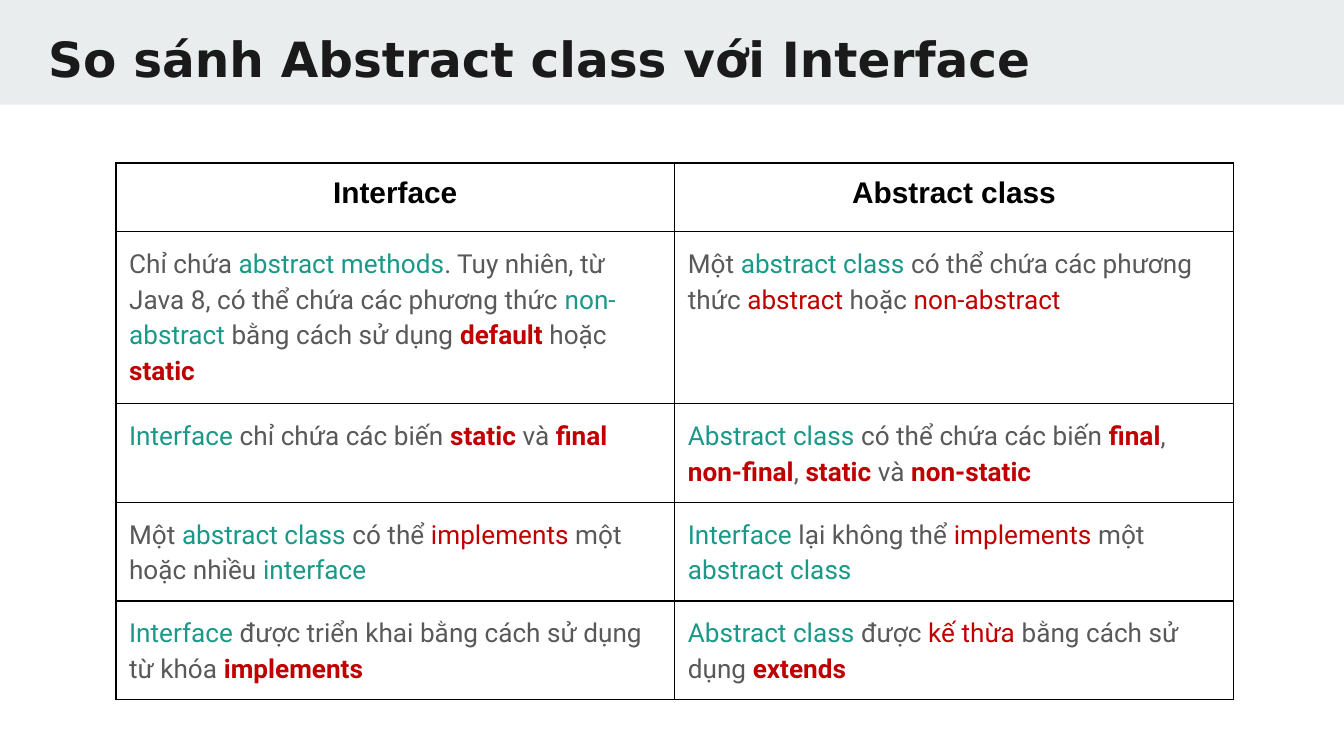
from typing import NamedTuple

from lxml.etree import SubElement
from pptx import Presentation
from pptx.dml.color import RGBColor
from pptx.enum.shapes import MSO_SHAPE
from pptx.enum.text import PP_ALIGN
from pptx.oxml.ns import qn
from pptx.util import Cm, Pt

BLACK = RGBColor(0x00, 0x00, 0x00)
INK = RGBColor(0x1A, 0x1A, 0x1A)
GREY = RGBColor(0x59, 0x59, 0x59)
TEAL = RGBColor(0x1A, 0x99, 0x88)
RED = RGBColor(0xC0, 0x00, 0x00)
BAND = RGBColor(0xE9, 0xED, 0xEE)

PAD = Cm(0.25)
THIN, THICK = Pt(0.5), Pt(1)
HEIGHTS = [1.3, 3.25, 1.85, 1.85, 1.85]
HEADS = ["Interface", "Abstract class"]


class Part(NamedTuple):
    text: str
    color: RGBColor = GREY
    bold: bool = False


def term(text: str) -> Part:
    return Part(text, TEAL)


def mark(text: str) -> Part:
    return Part(text, RED)


def strong(text: str) -> Part:
    return Part(text, RED, True)


ROWS = [
    (
        [Part("Chỉ chứa "), term("abstract methods"),
         Part(". Tuy nhiên, từ Java 8, có thể chứa các phương thức "),
         term("non-abstract"), Part(" bằng cách sử dụng "),
         strong("default"), Part(" hoặc "), strong("static")],
        [Part("Một "), term("abstract class "),
         Part("có thể chứa các phương thức "), mark("abstract"),
         Part(" hoặc "), mark("non-abstract")],
    ),
    (
        [term("Interface"), Part(" chỉ chứa các biến "), strong("static"),
         Part(" và "), strong("final")],
        [term("Abstract class "), Part("có thể chứa các biến "),
         strong("final"), Part(", "), strong("non-final"), Part(", "),
         strong("static"), Part(" và "), strong("non-static")],
    ),
    (
        [Part("Một "), term("abstract class "), Part("có thể "),
         mark("implements"), Part(" một hoặc nhiều "), term("interface")],
        [term("Interface"), Part(" lại không thể "), mark("implements"),
         Part(" một "), term("abstract class")],
    ),
    (
        [term("Interface"), Part(" được triển khai bằng cách sử dụng từ khóa "),
         strong("implements")],
        [term("Abstract class "), Part("được "), mark("kế thừa "),
         Part("bằng cách sử dụng "), strong("extends")],
    ),
]


def style(font, name: str, size: float, color: RGBColor, bold: bool) -> None:
    font.name = name
    font.size = Pt(size)
    font.color.rgb = color
    font.bold = bold


def pad(box) -> None:
    box.margin_left = box.margin_right = PAD
    box.margin_top = box.margin_bottom = PAD


def edge(cell, side: str, width: int) -> None:
    line = SubElement(cell._tc.get_or_add_tcPr(), qn(f"a:ln{side}"), w=str(width))
    fill = SubElement(line, qn("a:solidFill"))
    SubElement(fill, qn("a:srgbClr"), val=str(BLACK))


def frame(cell, row: int, col: int) -> None:
    last = len(HEIGHTS) - 1
    edge(cell, "L", THICK if col == 0 else THIN)
    edge(cell, "R", THICK if col == 1 else THIN)
    edge(cell, "T", THICK if row in (0, last) else THIN)
    edge(cell, "B", THICK if row in (last - 1, last) else THIN)
    cell.fill.background()


def fill_head(cell, text: str) -> None:
    cell.text_frame.text = text
    para = cell.text_frame.paragraphs[0]
    para.alignment = PP_ALIGN.CENTER
    style(para.runs[0].font, "Arial", 16, BLACK, True)


def fill_body(cell, parts: list[Part]) -> None:
    para = cell.text_frame.paragraphs[0]
    para.line_spacing = 1.15
    para.space_after = Pt(12)
    for part in parts:
        run = para.add_run()
        run.text = part.text
        style(run.font, "Roboto", 14, part.color, part.bold)


def add_title(slide, text: str) -> None:
    band = slide.shapes.add_shape(MSO_SHAPE.RECTANGLE, 0, 0, Cm(25.4), Cm(1.98))
    band.shadow.inherit = False
    band.fill.solid()
    band.fill.fore_color.rgb = BAND
    band.line.fill.background()
    box = slide.shapes.add_textbox(Cm(0.66), Cm(0.3), Cm(24.18), Cm(1.5))
    pad(box.text_frame)
    box.text_frame.word_wrap = True
    box.text_frame.text = text
    style(box.text_frame.paragraphs[0].runs[0].font, "DejaVu Sans", 26, INK, True)


def add_grid(slide) -> None:
    table = slide.shapes.add_table(
        len(HEIGHTS), 2, Cm(2.19), Cm(3.08), Cm(21.12), Cm(sum(HEIGHTS))
    ).table
    table.first_row = table.horz_banding = False
    for row, high in zip(table.rows, HEIGHTS):
        row.height = Cm(high)
    for col, head in enumerate(HEADS):
        fill_head(table.cell(0, col), head)
    for row, pair in enumerate(ROWS, 1):
        for col, parts in enumerate(pair):
            fill_body(table.cell(row, col), parts)
    for row in range(len(HEIGHTS)):
        for col in range(2):
            cell = table.cell(row, col)
            pad(cell)
            frame(cell, row, col)


def main() -> None:
    deck = Presentation()
    deck.slide_width, deck.slide_height = Cm(25.4), Cm(14.29)
    slide = deck.slides.add_slide(deck.slide_layouts[6])
    add_title(slide, "So sánh Abstract class với Interface")
    add_grid(slide)
    deck.save("out.pptx")


if __name__ == "__main__":
    main()
